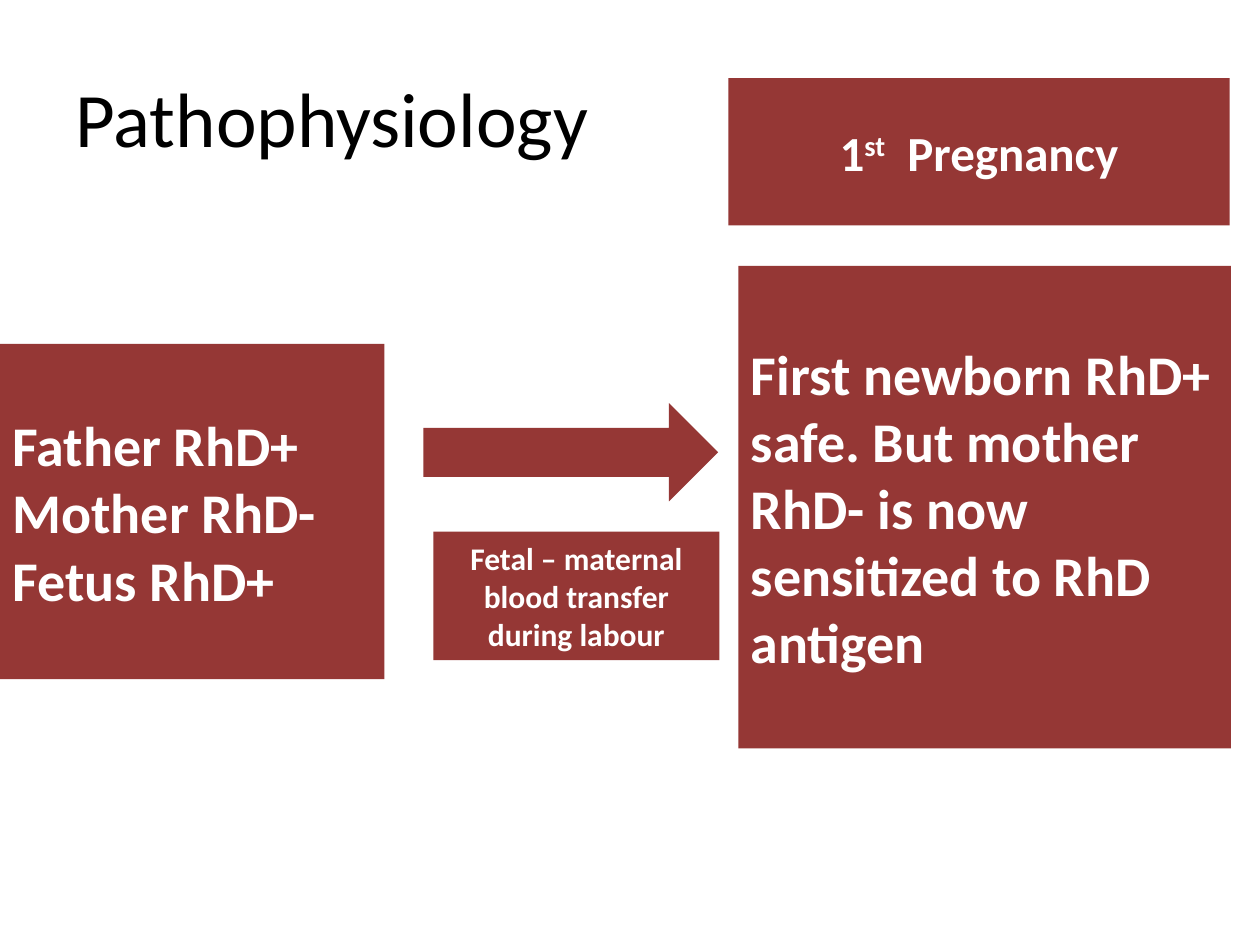
from dataclasses import dataclass

from pptx import Presentation
from pptx.dml.color import RGBColor
from pptx.enum.shapes import MSO_SHAPE
from pptx.enum.text import MSO_ANCHOR, PP_ALIGN
from pptx.util import Inches, Pt

RECTANGLE, RIGHT_ARROW = MSO_SHAPE.RECTANGLE, MSO_SHAPE.RIGHT_ARROW
LEFT, CENTER = PP_ALIGN.LEFT, PP_ALIGN.CENTER
MIDDLE = MSO_ANCHOR.MIDDLE
TITLE_ONLY = 5


@dataclass(frozen=True)
class Theme:
    font: str = "Calibri"
    ink: RGBColor = RGBColor(0x00, 0x00, 0x00)
    panel: RGBColor = RGBColor(0x95, 0x37, 0x35)
    panel_text: RGBColor = RGBColor(0xFF, 0xFF, 0xFF)
    title_size: int = 44
    body_size: int = 32
    heading_size: int = 28
    caption_size: int = 18


class PageBuilder:
    """Holds the theme and the current page."""

    def __init__(self, page, theme):
        self.page = page
        self.theme = theme

    def format_text(self, frame, size, color, align, bold):
        frame.word_wrap = True
        frame.vertical_anchor = MIDDLE
        for para in frame.paragraphs:
            para.alignment = align
            for span in para.runs:
                span.font.name = self.theme.font
                span.font.size = Pt(size)
                span.font.bold = bold
                span.font.color.rgb = color

    def title(self, text, bounds):
        box = self.page.shapes.title
        box.left, box.top, box.width, box.height = map(Inches, bounds)
        box.text_frame.text = text
        self.format_text(box.text_frame, self.theme.title_size,
                         self.theme.ink, LEFT, False)

    def block(self, kind, bounds):
        shape = self.page.shapes.add_shape(kind, *map(Inches, bounds))
        shape.shadow.inherit = False
        shape.fill.solid()
        shape.fill.fore_color.rgb = self.theme.panel
        shape.line.fill.background()
        return shape

    def panel(self, lines, bounds, size, align=LEFT):
        """Add a filled box; each line is a list of (text, is_superscript)
        parts or a plain string."""
        frame = self.block(RECTANGLE, bounds).text_frame
        for index, line in enumerate(lines):
            para = frame.add_paragraph() if index else frame.paragraphs[0]
            parts = [(line, False)] if isinstance(line, str) else line
            for text, is_superscript in parts:
                span = para.add_run()
                span.text = text
                if is_superscript:
                    span.font._element.set("baseline", "30000")
        self.format_text(frame, size, self.theme.panel_text, align, True)

    def arrow(self, bounds):
        self.block(RIGHT_ARROW, bounds)


def main():
    deck = Presentation()
    deck.slide_width, deck.slide_height = Inches(10), Inches(7.5)
    theme = Theme()
    page = deck.slides.add_slide(deck.slide_layouts[TITLE_ONLY])
    builder = PageBuilder(page, theme)

    builder.title("Pathophysiology", (0.5, 0.3, 9, 1.25))

    # Parents and fetus
    builder.panel(["Father RhD+", "Mother RhD-", "Fetus RhD+"],
                  (0, 2.73, 3.05, 2.66), theme.body_size)

    # Transfer to the outcome
    builder.arrow((3.36, 3.2, 2.34, 0.78))
    builder.panel(["First newborn RhD+ safe. But mother RhD- is now "
                   "sensitized to RhD antigen"],
                  (5.86, 2.11, 3.91, 3.83), theme.body_size)
    builder.panel(["Fetal – maternal blood transfer during labour"],
                  (3.44, 4.22, 2.27, 1.02), theme.caption_size, CENTER)

    # Pregnancy heading
    builder.panel([[("1", False), ("st", True), ("  Pregnancy", False)]],
                  (5.78, 0.62, 3.98, 1.17), theme.heading_size, CENTER)

    deck.save("out.pptx")


if __name__ == "__main__":
    main()
